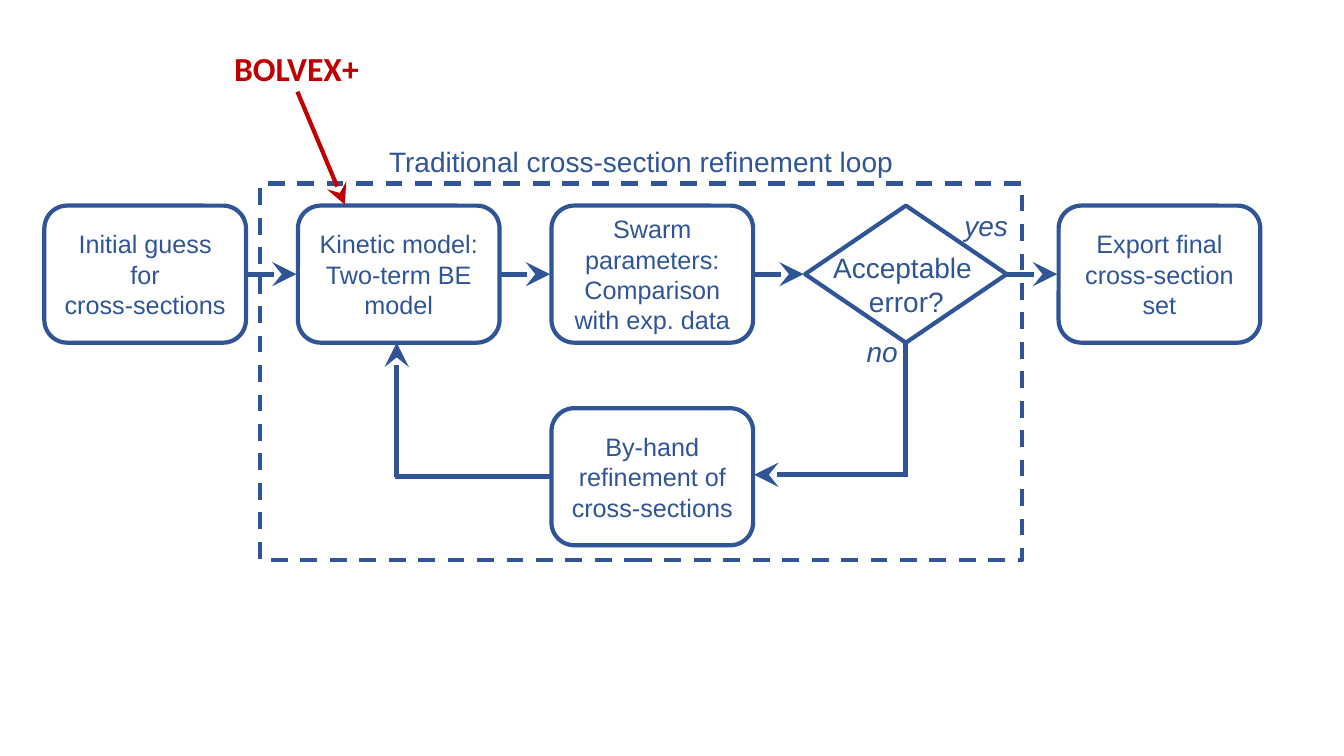
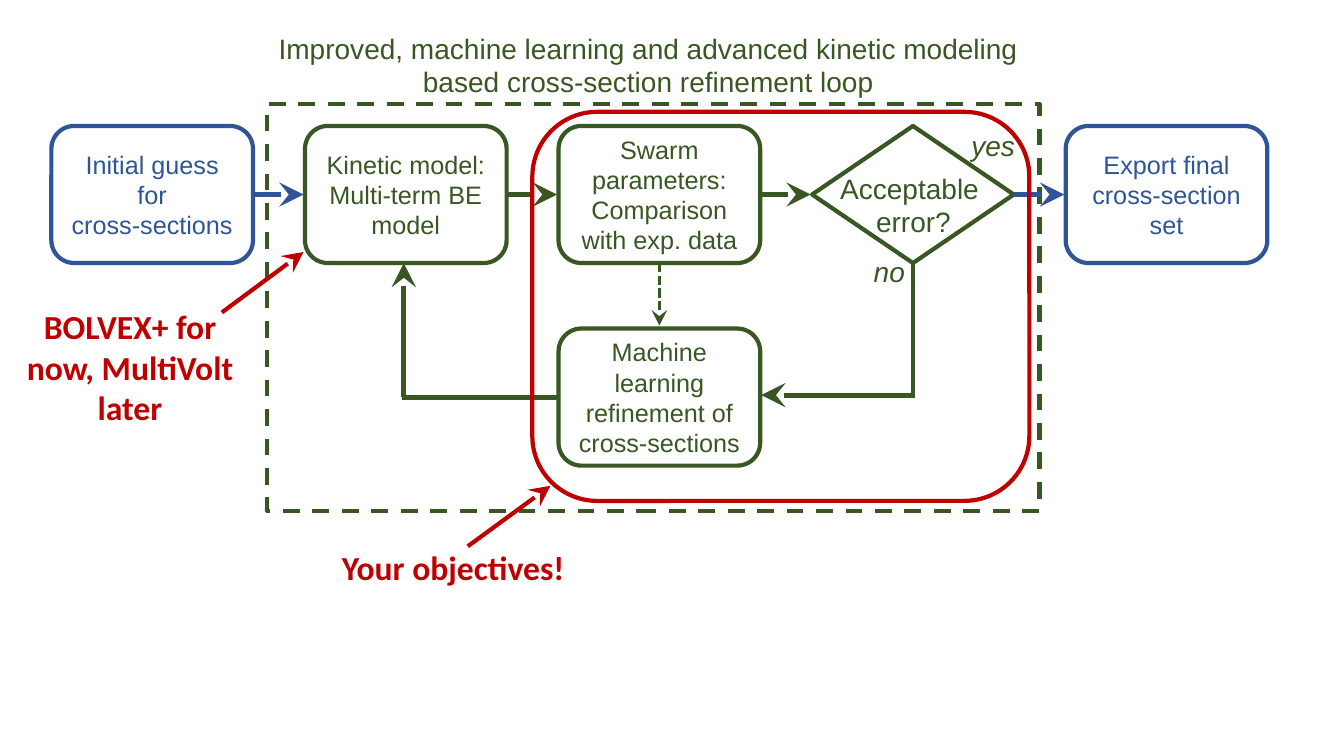
from dataclasses import dataclass

from lxml.etree import SubElement
from pptx import Presentation
from pptx.dml.color import RGBColor
from pptx.enum.dml import MSO_LINE
from pptx.enum.shapes import MSO_CONNECTOR, MSO_SHAPE
from pptx.enum.text import MSO_ANCHOR, MSO_AUTO_SIZE, PP_ALIGN
from pptx.oxml.ns import qn
from pptx.shapes.autoshape import Shape
from pptx.slide import Slide
from pptx.text.text import TextFrame
from pptx.util import Inches, Pt

BLUE = "2F5597"
GREEN = "385723"
RED = "C00000"
WHITE = "FFFFFF"

NODE_WIDTH = 2
NODE_HEIGHT = 1.36
COLUMN_PITCH = 10.06 / 4
ROW_PITCH = 2.01
ARROW_LENGTH = 0.5

Point = tuple[float, float]
Box = tuple[float, float, float, float]


@dataclass(frozen=True)
class TextStyle:
    color: str
    size: float = 20
    font: str = "Arial"
    bold: bool = False
    italic: bool = False


@dataclass(frozen=True)
class Callout:
    text: str
    box: Box
    start: Point
    end: Point


@dataclass(frozen=True)
class Flow:
    left: float
    top: float
    color: str
    heading: str
    heading_box: Box
    frame: Box
    kinetic_model: str
    refinement: str
    callouts: tuple[Callout, ...]


CALLOUT_STYLE = TextStyle(RED, 24, "Calibri", bold=True)

TRADITIONAL = Flow(
    0.44, 2.04, BLUE,
    "Traditional cross-section refinement loop",
    (2.58, 1.38, 7.56, 0.44),
    (2.58, 1.82, 7.56, 3.74),
    "Kinetic model:\nTwo-term BE model",
    "By-hand refinement of cross-sections",
    (Callout("BOLVEX+", (2.04, 0.43, 1.8, 0.5), (2.95, 0.91), (3.42, 2.03)),),
)
IMPROVED = Flow(
    0.51, 1.25, GREEN,
    "Improved, machine learning and advanced kinetic modeling based cross-section refinement loop",
    (2.65, 0.26, 7.56, 0.77),
    (2.65, 1.03, 7.66, 4.04),
    "Kinetic model:\nMulti-term BE model",
    "Machine learning refinement of cross-sections",
    (
        Callout("BOLVEX+ for now, MultiVolt later", (0.14, 2.99, 2.3, 1.31), (2.2, 3.1), (3.01, 2.5)),
        Callout("Your objectives!", (3.2, 5.38, 2.59, 0.5), (4.64, 5.42), (5.46, 4.82)),
    ),
)


def rgb(color: str) -> RGBColor:
    return RGBColor.from_string(color)


def write_text(frame: TextFrame, text: str, style: TextStyle) -> None:
    frame.word_wrap = True
    paragraph = frame.paragraphs[0]
    paragraph.text = text.replace("\n", "\v")
    paragraph.alignment = PP_ALIGN.CENTER
    for run in paragraph.runs:
        run.font.name = style.font
        run.font.size = Pt(style.size)
        run.font.bold = style.bold
        run.font.italic = style.italic
        run.font.color.rgb = rgb(style.color)


def add_outline(slide: Slide, kind: MSO_SHAPE, box: Box, color: str, fill: str | None = None) -> Shape:
    shape = slide.shapes.add_shape(kind, *map(Inches, box))
    shape.shadow.inherit = False
    if fill:
        shape.fill.solid()
        shape.fill.fore_color.rgb = rgb(fill)
    else:
        shape.fill.background()
    shape.line.color.rgb = rgb(color)
    shape.line.width = Pt(3)
    return shape


def add_node(slide: Slide, corner: Point, text: str, color: str) -> None:
    box = (*corner, NODE_WIDTH, NODE_HEIGHT)
    shape = add_outline(slide, MSO_SHAPE.ROUNDED_RECTANGLE, box, color, WHITE)
    shape.text_frame.vertical_anchor = MSO_ANCHOR.MIDDLE
    write_text(shape.text_frame, text, TextStyle(color, 18))


def add_label(slide: Slide, box: Box, text: str, style: TextStyle) -> None:
    frame = slide.shapes.add_textbox(*map(Inches, box)).text_frame
    frame.auto_size = MSO_AUTO_SIZE.SHAPE_TO_FIT_TEXT
    write_text(frame, text, style)


def add_line(
    slide: Slide,
    start: Point,
    end: Point,
    color: str,
    width: float = 3.5,
    arrow: bool = True,
    dash: MSO_LINE | None = None,
) -> None:
    connector = slide.shapes.add_connector(MSO_CONNECTOR.STRAIGHT, *map(Inches, (*start, *end)))
    connector.line.color.rgb = rgb(color)
    connector.line.width = Pt(width)
    if dash:
        connector.line.dash_style = dash
    properties = connector.element.spPr
    if arrow:
        SubElement(properties.find(qn("a:ln")), qn("a:tailEnd"), type="stealth", w="lg", len="lg")
    SubElement(properties, qn("a:effectLst"))


def draw_flow(slide: Slide, flow: Flow) -> None:
    columns = [flow.left + index * COLUMN_PITCH for index in range(5)]
    _, kinetic, swarm, decision, _ = columns
    top, color = flow.top, flow.color
    bottom = top + NODE_HEIGHT
    middle = top + NODE_HEIGHT / 2
    lower_middle = middle + ROW_PITCH
    decision_center = decision + NODE_WIDTH / 2
    kinetic_center = kinetic + NODE_WIDTH / 2

    frame = add_outline(slide, MSO_SHAPE.RECTANGLE, flow.frame, color)
    frame.line.dash_style = MSO_LINE.DASH
    add_label(slide, flow.heading_box, flow.heading, TextStyle(color))

    nodes = (
        (0, 0, "Initial guess for\ncross-sections", BLUE),
        (1, 0, flow.kinetic_model, color),
        (2, 0, "Swarm parameters: Comparison with exp. data", color),
        (2, 1, flow.refinement, color),
        (4, 0, "Export final cross-section set", BLUE),
    )
    for column, row, text, node_color in nodes:
        add_node(slide, (columns[column], top + row * ROW_PITCH), text, node_color)

    decision_box = (decision, top, NODE_WIDTH, NODE_HEIGHT)
    add_outline(slide, MSO_SHAPE.FLOWCHART_DECISION, decision_box, color, WHITE)
    add_label(slide, (decision + 0.07, top + 0.4, 1.87, 0.77), "Acceptable \nerror?", TextStyle(color))
    answer_style = TextStyle(color, italic=True)
    add_label(slide, (decision + 0.39, top + 1.23, 0.75, 0.44), "no", answer_style)
    add_label(slide, (decision + 1.42, top - 0.02, 0.75, 0.44), "yes", answer_style)

    for left, arrow_color in zip(columns[:-1], (BLUE, color, color, BLUE)):
        start = left + NODE_WIDTH
        add_line(slide, (start, middle), (start + ARROW_LENGTH, middle), arrow_color)

    add_line(slide, (decision_center, bottom), (decision_center, lower_middle), color, arrow=False)
    add_line(slide, (decision_center + 0.02, lower_middle - 0.02),
             (swarm + NODE_WIDTH + 0.01, lower_middle - 0.02), color)
    add_line(slide, (swarm, lower_middle), (kinetic_center - 0.04, lower_middle), color, arrow=False)
    add_line(slide, (kinetic_center - 0.02, lower_middle), (kinetic_center - 0.02, bottom), color)

    for callout in flow.callouts:
        add_label(slide, callout.box, callout.text, CALLOUT_STYLE)
        add_line(slide, callout.start, callout.end, RED, 3)


def main() -> None:
    presentation = Presentation()
    presentation.slide_width = Inches(13.33)
    presentation.slide_height = Inches(7.5)
    blank = presentation.slide_layouts[6]

    draw_flow(presentation.slides.add_slide(blank), TRADITIONAL)

    improved_slide = presentation.slides.add_slide(blank)
    draw_flow(improved_slide, IMPROVED)
    add_line(improved_slide, (6.54, 2.61), (6.54, 3.23), GREEN, 2.25, dash=MSO_LINE.SQUARE_DOT)
    add_outline(improved_slide, MSO_SHAPE.ROUNDED_RECTANGLE, (5.28, 1.11, 4.93, 3.86), RED)

    presentation.save("out.pptx")


main()
